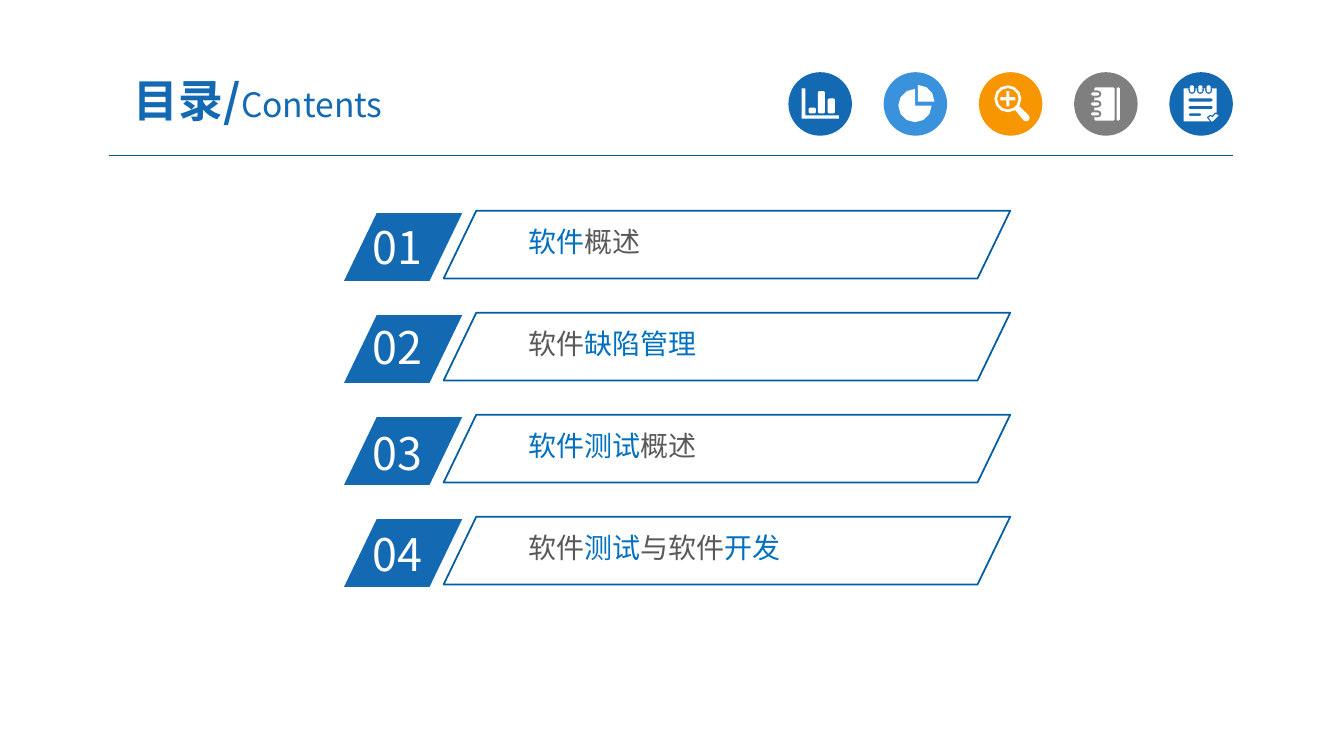
from math import cos, radians, sin

from lxml.etree import SubElement
from pptx import Presentation
from pptx.dml.color import RGBColor
from pptx.enum.shapes import MSO_CONNECTOR as Link, MSO_SHAPE as Kind
from pptx.enum.text import MSO_ANCHOR as Anchor, MSO_AUTO_SIZE as Fit, PP_ALIGN as Align
from pptx.oxml.ns import qn
from pptx.util import Cm, Pt

FONT = "Noto Sans CJK SC"
HUES = {
    "navy": "1369B2", "sky": "3992DB", "amber": "F79600", "grey": "7F7F7F",
    "white": "FFFFFF", "rule": "005B9E", "edge": "005DA2",
    "key": "0070C0", "plain": "595959",
}


def arc(x, y, r, start, end, step=30):
    """Points along an arc, in degrees clockwise from the right."""
    count = abs(end - start) // step
    turns = [radians(start + (end - start) * i / count) for i in range(count + 1)]
    return [(x + r * cos(t), y + r * sin(t)) for t in turns]


def ring(x, y, r):
    return arc(x, y, r, 0, 330)


def bar(x, y, w, h, cut=0.03):
    """Outline of a bar with trimmed corners."""
    right, low = x + w, y + h
    return [(x + cut, y), (right - cut, y), (right, y + cut), (right, low - cut),
            (right - cut, low), (x + cut, low), (x, low - cut), (x, y + cut)]


def chart():
    axes = [(0.33, 0.41), (0.43, 0.41), (0.43, 1.09), (1.27, 1.09), (1.27, 1.17), (0.33, 1.17)]
    cols = [(0.51, 0.89), (0.74, 0.48), (0.99, 0.66)]
    return [axes] + [bar(x, y, 0.18, 1.04 - y) for x, y in cols]


def pie():
    return [[(0.86, 0.74)] + arc(0.86, 0.74, 0.42, 270, 360),
            [(0.79, 0.84)] + arc(0.79, 0.84, 0.42, 0, 270)]


def lens():
    x, y, far, near = 0.73, 0.67, 0.19, 0.04
    arms = [(near, far), (near, near), (far, near)]
    cross = []
    for i, (a, b) in enumerate([(1, 1), (1, -1), (-1, -1), (-1, 1)]):
        cross += [(x + a * u, y + b * v) for u, v in (arms[::-1] if i % 2 else arms)]
    grip = [(0.91, 0.95)] + arc(1.19, 1.15, 0.09, 135, -45, 45) + [(1.02, 0.86)]
    return [ring(x, y, 0.34), ring(x, y, 0.27), cross, grip]


def book():
    shapes = [bar(1.07, 0.38, 0.08, 0.84), bar(0.51, 0.38, 0.51, 0.84)]
    for y in (0.55, 0.8, 1.05):
        notch = [(0.51, y - 0.09)] + arc(0.6, y, 0.09, -90, 90, 45) + [(0.51, y + 0.09)]
        shapes += [notch, bar(0.43, y - 0.04, 0.2, 0.08)]
    return shapes


def pad():
    page = [(0.36, 0.41), (1.19, 0.41), (1.19, 1.02), (1.14, 1.02), (1.09, 1.09),
            (1.02, 1.07), (0.94, 1.14), (1.02, 1.24), (0.36, 1.24)]
    tick = [(0.99, 1.14), (1.04, 1.11), (1.09, 1.14), (1.17, 1.05),
            (1.24, 1.09), (1.09, 1.24), (1.06, 1.24)]
    shapes = [page, tick, bar(0.48, 0.66, 0.61, 0.08),
              bar(0.48, 0.85, 0.61, 0.08), bar(0.48, 1.04, 0.33, 0.06)]
    for x in (0.57, 0.78, 0.99):
        notch = [(x - 0.09, 0.41)] + arc(x, 0.46, 0.09, 180, 0, 45) + [(x + 0.09, 0.41)]
        shapes += [notch, bar(x - 0.05, 0.33, 0.1, 0.18)]
    return shapes


class Deck:
    def __init__(self):
        self.show = Presentation()
        self.show.slide_width, self.show.slide_height = Cm(33.87), Cm(19.05)
        self.shapes = self.show.slides.add_slide(self.show.slide_layouts[6]).shapes

    def tint(self, name):
        return RGBColor.from_string(HUES[name])

    def paint(self, shape, fill=None, edge=None):
        shape.shadow.inherit = False
        if fill:
            shape.fill.solid()
            shape.fill.fore_color.rgb = self.tint(fill)
        else:
            shape.fill.background()
        if edge:
            shape.line.color.rgb = self.tint(edge)
            shape.line.width = Pt(1.25)
        else:
            shape.line.fill.background()

    def shape(self, kind, x, y, w, h, fill=None, edge=None, adj=None):
        item = self.shapes.add_shape(kind, Cm(x), Cm(y), Cm(w), Cm(h))
        if adj is not None:
            item.adjustments[0] = adj
        self.paint(item, fill, edge)

    def glyph(self, x, y, loops):
        """Draw closed outlines, given in cm from x, y, as one white shape."""
        loops = [[(a * 1000, b * 1000) for a, b in loop] for loop in loops]
        pen = self.shapes.build_freeform(*loops[0][0], scale=Cm(0.001))
        for i, loop in enumerate(loops):
            if i:
                pen.move_to(*loop[0])
            pen.add_line_segments(loop[1:], close=True)
        self.paint(pen.convert_to_shape(Cm(x), Cm(y)), "white")

    def rule(self, x, y, end):
        line = self.shapes.add_connector(Link.STRAIGHT, Cm(x), Cm(y), Cm(end), Cm(y))
        line.line.color.rgb = self.tint("rule")
        line.line.width = Pt(0.75)
        SubElement(line._element.spPr, qn("a:effectLst"))

    def text(self, x, y, w, h, runs, pad=(0.25, 0.13), align=Align.LEFT,
             anchor=Anchor.TOP, fit=Fit.SHAPE_TO_FIT_TEXT):
        """Add a text box; each run is (words, size, colour, bold)."""
        frame = self.shapes.add_textbox(Cm(x), Cm(y), Cm(w), Cm(h)).text_frame
        frame.word_wrap, frame.auto_size = True, fit
        frame.vertical_anchor = anchor
        frame.margin_left = frame.margin_right = Cm(pad[0])
        frame.margin_top = frame.margin_bottom = Cm(pad[1])
        para = frame.paragraphs[0]
        para.alignment = align
        for words, size, hue, bold in runs:
            run = para.add_run()
            run.text = words
            font = run.font
            font.size, font.bold, font.name = Pt(size), bold, FONT
            font.color.rgb = self.tint(hue)
            SubElement(run._r.get_or_add_rPr(), qn("a:ea"), typeface=FONT)


def main():
    deck = Deck()
    deck.rule(2.75, 3.93, 31.07)
    icons = [("navy", chart), ("sky", pie), ("amber", lens), ("grey", book), ("navy", pad)]
    for i, (hue, draw) in enumerate(icons):
        x, y = 19.87 + 2.4 * i, 1.82
        deck.shape(Kind.OVAL, x, y, 1.6, 1.6, hue)
        deck.glyph(x, y, draw())

    deck.text(2.33, 1.6, 8.36, 1.83,
              [("目录/", 32, "navy", True), ("Contents", 24, "navy", False)],
              (0.33, 0.18), Align.CENTER, Anchor.MIDDLE, Fit.NONE)

    topics = [
        (5.4, [("软件", "key"), ("概述", "plain")]),
        (7.92, [("软件", "plain"), ("缺陷管理", "key")]),
        (10.59, [("软件测试", "key"), ("概述", "plain")]),
        (13.15, [("软件", "plain"), ("测试", "key"), ("与软件", "plain"), ("开发", "key")]),
    ]
    for i, (top, words) in enumerate(topics):
        drop = 2.57 * i
        deck.shape(Kind.PARALLELOGRAM, 8.67, 5.37 + drop, 2.98, 1.71, "navy", adj=0.482)
        deck.text(9.14, top, 2.84, 1.62, [(f"{i + 1:02}", 32, "white", False)])
        deck.text(13.14, 5.56 + drop, 10.46, 1.04,
                  [(part, 20, hue, False) for part, hue in words], (0.18, 0.1))
        deck.shape(Kind.PARALLELOGRAM, 11.18, 5.31 + drop, 14.28, 1.71, edge="edge", adj=0.482)
    deck.show.save("out.pptx")


if __name__ == "__main__":
    main()
